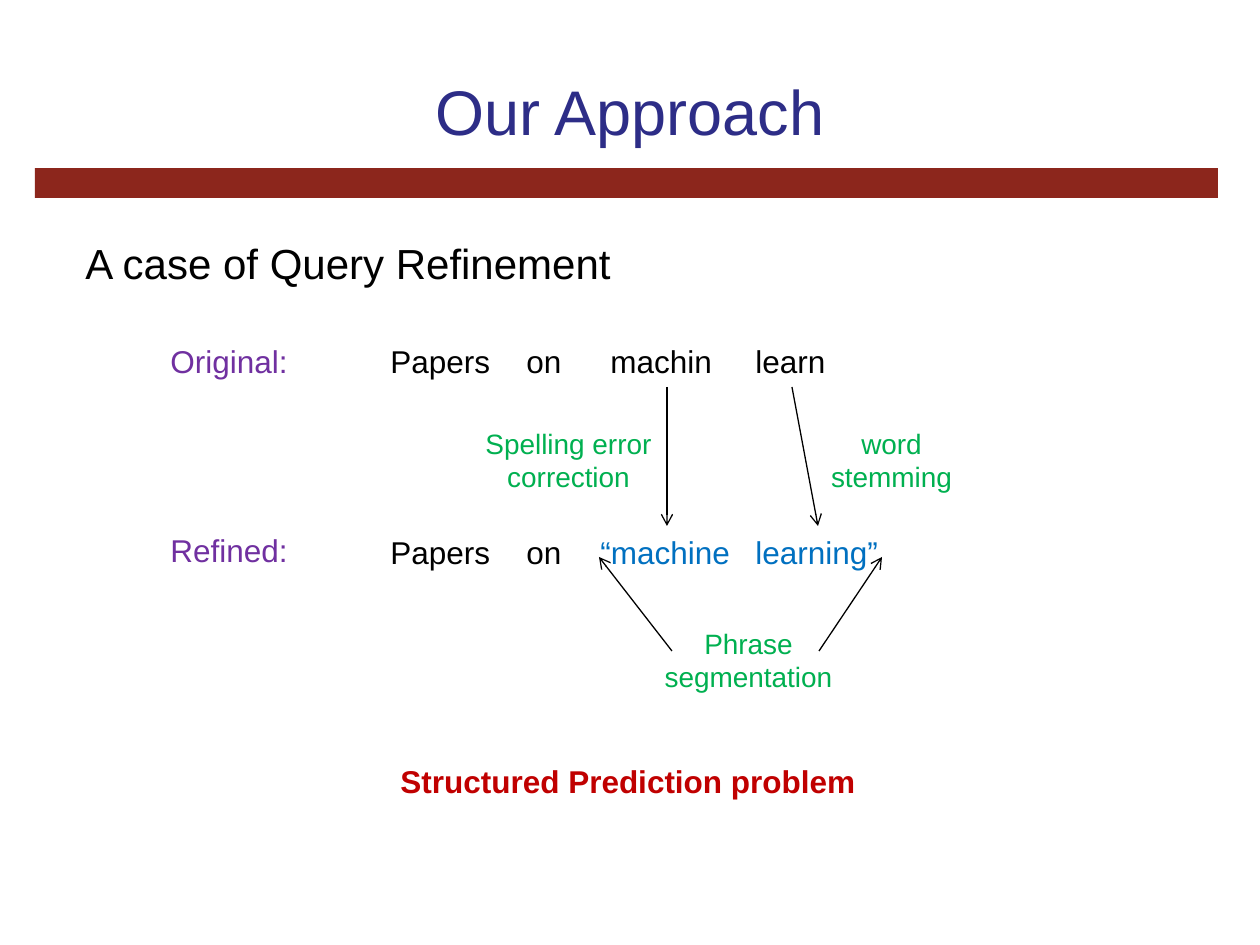
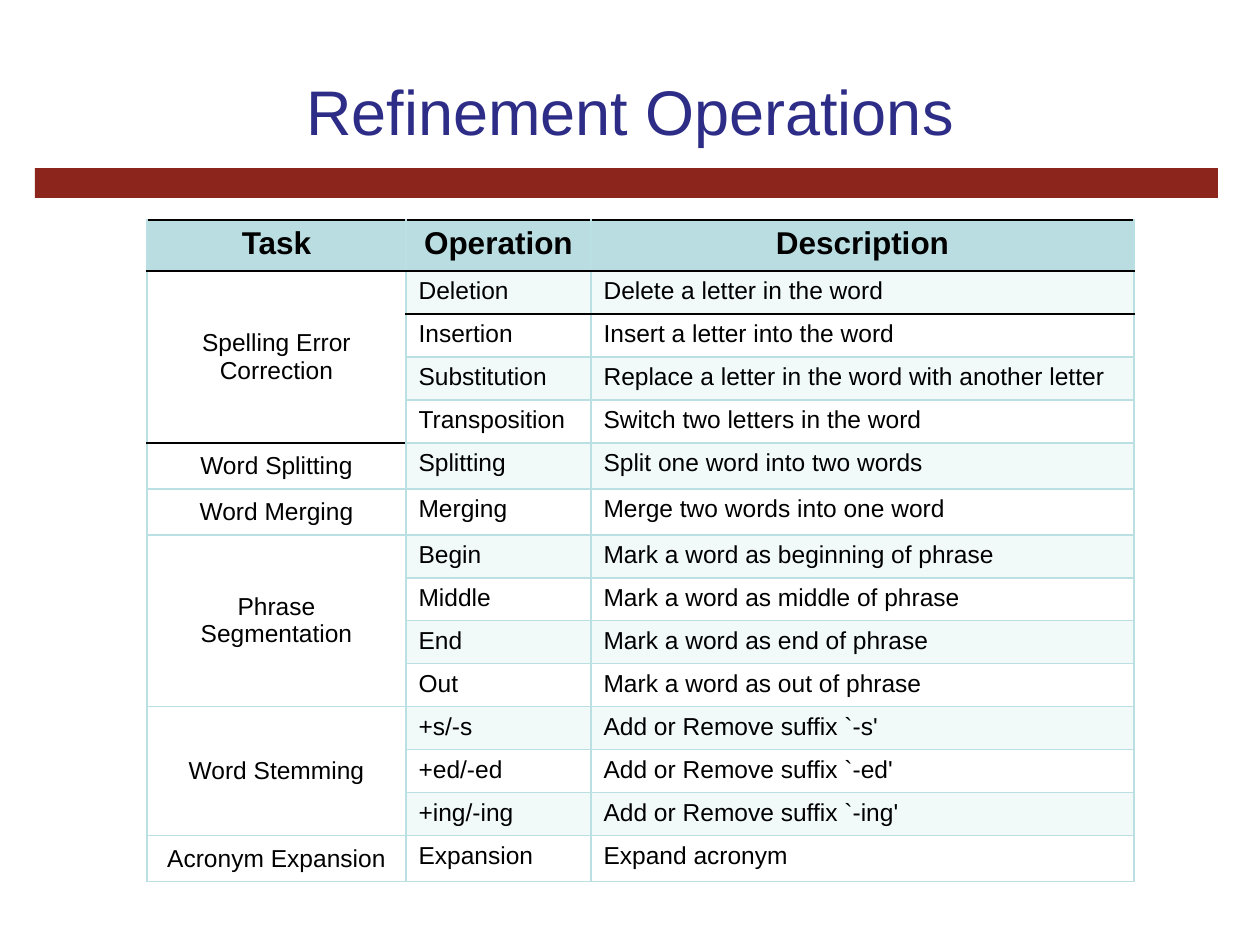
from lxml.etree import SubElement
from pptx import Presentation
from pptx.dml.color import RGBColor
from pptx.enum.shapes import MSO_CONNECTOR, MSO_SHAPE
from pptx.enum.text import MSO_ANCHOR, MSO_AUTO_SIZE, PP_ALIGN
from pptx.oxml.ns import qn
from pptx.util import Pt

PX = 914400 / 126
FONT = "Arial"
BLACK = RGBColor(0x00, 0x00, 0x00)
NAVY = RGBColor(0x2D, 0x2D, 0x87)
MAROON = RGBColor(0x8C, 0x26, 0x1C)
RED = RGBColor(0xC0, 0x00, 0x00)
BLUE = RGBColor(0x00, 0x70, 0xC0)
GREEN = RGBColor(0x00, 0xB0, 0x50)
PURPLE = RGBColor(0x70, 0x30, 0xA0)
HEADER = RGBColor(0xBA, 0xDD, 0xE1)
GRID = RGBColor(0xBB, 0xE0, 0xE3)
BAND = RGBColor(0xF1, 0xF9, 0xF9)

OPERATIONS = [
    ("Spelling Error Correction", [
        ("Deletion", "Delete a letter in the word"),
        ("Insertion", "Insert a letter into the word"),
        ("Substitution", "Replace a letter in the word with another letter"),
        ("Transposition", "Switch two letters in the word"),
    ]),
    ("Word Splitting", [("Splitting", "Split one word into two words")]),
    ("Word Merging", [("Merging", "Merge two words into one word")]),
    ("Phrase Segmentation", [
        ("Begin", "Mark a word as beginning of phrase"),
        ("Middle", "Mark a word as middle of phrase"),
        ("End", "Mark a word as end of phrase"),
        ("Out", "Mark a word as out of phrase"),
    ]),
    ("Word Stemming", [
        ("+s/-s", "Add or Remove suffix `-s'"),
        ("+ed/-ed", "Add or Remove suffix `-ed'"),
        ("+ing/-ing", "Add or Remove suffix `-ing'"),
    ]),
    ("Acronym Expansion", [("Expansion", "Expand acronym")]),
]


def emu(*lengths):
    return [round(n * PX) for n in lengths]


def write(tf, text, size=18, color=BLACK, bold=False, align=PP_ALIGN.LEFT):
    for i, line in enumerate(text.split("\n")):
        p = tf.add_paragraph() if i else tf.paragraphs[0]
        p.alignment = align
        r = p.add_run()
        r.text = line
        r.font.name = FONT
        r.font.size = Pt(size)
        r.font.bold = bold
        r.font.color.rgb = color


def set_border(cell, side, color, width):
    ln = SubElement(cell._tc.get_or_add_tcPr(), qn(f"a:ln{side}"), w=str(Pt(width)))
    fill = SubElement(ln, qn("a:solidFill"))
    SubElement(fill, qn("a:srgbClr"), val=str(color))


def row_rule(edge, col):
    heavy = edge < 2 or (edge == 2 and col > 0) or (edge == 5 and col == 0)
    return (BLACK, 1.5) if heavy else (GRID, 1)


class Deck:
    def __init__(self):
        self.prs = Presentation()
        self.prs.slide_width, self.prs.slide_height = emu(1260, 945)
        self.s = None

    def slide(self, title):
        self.s = self.prs.slides.add_slide(self.prs.slide_layouts[5])
        self.bar(35, 168, 1183, 30, MAROON)
        sp = self.s.shapes.title
        sp.left, sp.top, sp.width, sp.height = emu(63, 32, 1134, 157)
        sp.text_frame.vertical_anchor = MSO_ANCHOR.MIDDLE
        write(sp.text_frame, title, size=36, color=NAVY, align=PP_ALIGN.CENTER)

    def bar(self, x, y, w, h, color):
        sp = self.s.shapes.add_shape(MSO_SHAPE.RECTANGLE, *emu(x, y, w, h))
        sp.shadow.inherit = False
        sp.fill.solid()
        sp.fill.fore_color.rgb = color
        sp.line.fill.background()

    def text(self, x, y, w, h, text, **style):
        tf = self.s.shapes.add_textbox(*emu(x, y, w, h)).text_frame
        tf.word_wrap = False
        tf.auto_size = MSO_AUTO_SIZE.SHAPE_TO_FIT_TEXT
        write(tf, text, **style)

    def arrow(self, x1, y1, x2, y2):
        c = self.s.shapes.add_connector(MSO_CONNECTOR.STRAIGHT, *emu(x1, y1, x2, y2))
        c.line.color.rgb = BLACK
        c.line.width = Pt(0.75)
        SubElement(c.line._get_or_add_ln(), qn("a:tailEnd"), type="arrow")
        SubElement(c._element.spPr, qn("a:effectLst"))

    def table(self, x, y, widths, heights):
        frame = self.s.shapes.add_table(
            len(heights), len(widths), *emu(x, y, sum(widths), sum(heights)))
        table = frame.table
        table.first_row = table.horz_banding = False
        for column, width in zip(table.columns, emu(*widths)):
            column.width = width
        for row, height in zip(table.rows, emu(*heights)):
            row.height = height
        return table

    def cell(self, table, row, col, fill=None):
        cell = table.cell(row, col)
        for side in "LR":
            set_border(cell, side, GRID, 1)
        set_border(cell, "T", *row_rule(row, col))
        set_border(cell, "B", *row_rule(row + 1, col))
        if fill is None:
            cell.fill.background()
        else:
            cell.fill.solid()
            cell.fill.fore_color.rgb = fill
        return cell


def approach_slide(deck):
    deck.slide("Our Approach")
    deck.text(73, 231, 556, 63, "A case of Query Refinement", size=24)

    words = [
        (336, [(378, 126, "Papers", BLACK), (514, 60, "on", BLACK),
               (598, 136, "machin", BLACK), (743, 96, "learn", BLACK)]),
        (527, [(378, 126, "Papers", BLACK), (514, 60, "on", BLACK),
               (588, 158, "“machine", BLUE), (743, 149, "learning”", BLUE)]),
    ]
    for y, query in words:
        for x, w, word, color in query:
            deck.text(x, y, w, 50, word, color=color)
    for y, label in [(336, "Original:"), (525, "Refined:")]:
        deck.text(158, y, 144, 50, label, color=PURPLE)

    for ends in [(667, 387, 667, 526), (792, 387, 818, 526),
                 (819, 651, 882, 557), (672, 651, 599, 557)]:
        deck.arrow(*ends)
    for x, y, w, label in [(472, 420, 193, "Spelling error\ncorrection"),
                           (818, 420, 147, "word\nstemming"),
                           (651, 620, 195, "Phrase\nsegmentation")]:
        deck.text(x, y, w, 81, label, size=16, color=GREEN, align=PP_ALIGN.CENTER)

    deck.text(388, 756, 483, 50, "Structured Prediction problem", color=RED, bold=True)


def operations_slide(deck):
    deck.slide("Refinement Operations")
    heights = [51]
    for _, operations in OPERATIONS:
        heights += [46 if len(operations) == 1 else 43] * len(operations)
    table = deck.table(147, 220, [259, 185, 543], heights)

    for col, heading in enumerate(["Task", "Operation", "Description"]):
        cell = deck.cell(table, 0, col, HEADER)
        write(cell.text_frame, heading, bold=True, align=PP_ALIGN.CENTER)

    row = 1
    for task, operations in OPERATIONS:
        first = row
        for operation in operations:
            deck.cell(table, row, 0)
            for col, text in enumerate(operation, 1):
                cell = deck.cell(table, row, col, BAND if row % 2 else None)
                write(cell.text_frame, text, size=14)
            row += 1
        cell = table.cell(first, 0)
        if len(operations) > 1:
            cell.merge(table.cell(row - 1, 0))
        cell.vertical_anchor = MSO_ANCHOR.MIDDLE
        write(cell.text_frame, task, size=14, align=PP_ALIGN.CENTER)


def main():
    deck = Deck()
    approach_slide(deck)
    operations_slide(deck)
    deck.prs.save("out.pptx")


if __name__ == "__main__":
    main()
